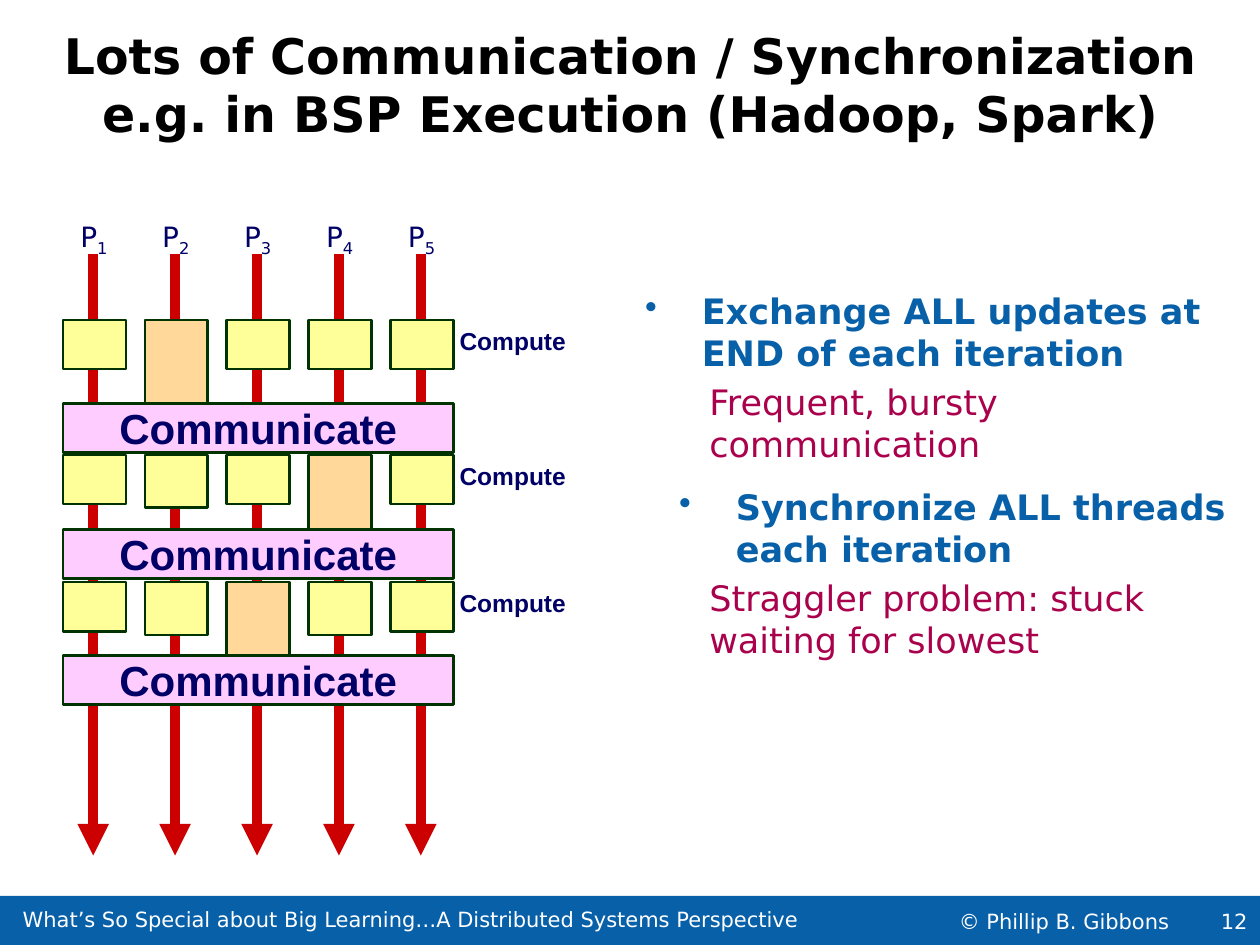
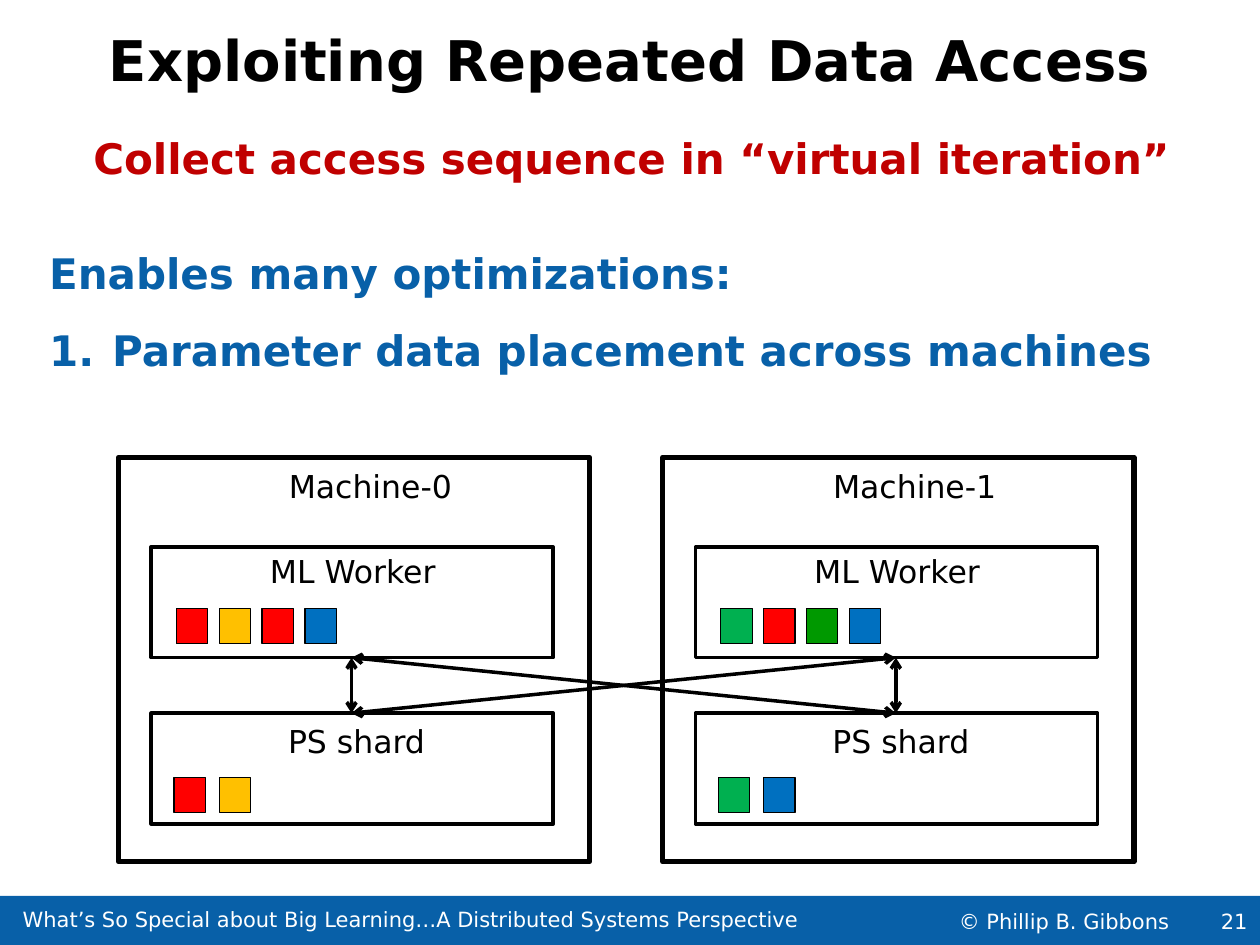
from dataclasses import dataclass

from lxml import etree
from pptx import Presentation
from pptx.dml.color import RGBColor
from pptx.enum.shapes import MSO_CONNECTOR, MSO_SHAPE
from pptx.enum.text import MSO_ANCHOR, PP_ALIGN
from pptx.oxml.ns import qn
from pptx.util import Inches, Pt

RECT = MSO_SHAPE.RECTANGLE
LINE = MSO_CONNECTOR.STRAIGHT
MID = MSO_ANCHOR.MIDDLE
TOP = MSO_ANCHOR.TOP
LEFT, CENTER, RIGHT = PP_ALIGN.LEFT, PP_ALIGN.CENTER, PP_ALIGN.RIGHT


@dataclass(frozen=True)
class Theme:
    sans: str = "DejaVu Sans"
    arial: str = "Arial"
    black: str = "000000"
    white: str = "FFFFFF"
    blue: str = "0860A8"
    plum: str = "AA014C"
    crimson: str = "C00000"
    navy: str = "000066"
    arrow: str = "CC0000"
    edge: str = "003300"
    task: str = "FFFF99"
    slow: str = "FFD89A"
    sync: str = "FFCCFF"
    foot: int = 12
    small: int = 14
    label: int = 16
    box: int = 18
    body: int = 20
    lead: int = 24
    title: int = 28
    big: int = 32


T = Theme()
RED, GOLD, SKY = "FF0000", "FFC000", "0070C0"
GREEN, LEAF = "00B050", "009900"


def font(size, color=T.black, bold=False, name=T.sans):
    return {"size": Pt(size), "bold": bold, "name": name, "color": color}


def style(run, form):
    for key, value in form.items():
        if key == "color":
            run.font.color.rgb = RGBColor.from_string(value)
        else:
            setattr(run.font, key, value)


def fill_text(frame, text, form, align=LEFT, anchor=TOP, inset=0, wrap=True):
    """Set the frame's layout and its first paragraph, and return that paragraph."""
    values = {"word_wrap": wrap, "vertical_anchor": anchor}
    for side in ("left", "right", "top", "bottom"):
        values["margin_" + side] = Inches(inset)
    for key, value in values.items():
        setattr(frame, key, value)
    para = frame.paragraphs[0]
    put_para(para, text, form, align)
    return para


def put_para(para, text, form, align=LEFT):
    para.text = text
    para.alignment = align
    for run in para.runs:
        style(run, form)


def add_text(slide, box, text, form, **layout):
    shape = slide.shapes.add_textbox(*map(Inches, box))
    return fill_text(shape.text_frame, text, form, **layout)


def add_list(slide, box, items):
    """Items are (text, font, margin, indent, space before, bullet)."""
    frame = slide.shapes.add_textbox(*map(Inches, box)).text_frame
    for i, (text, form, margin, indent, space, bullet) in enumerate(items):
        if i:
            para = frame.add_paragraph()
            put_para(para, text, form)
        else:
            para = fill_text(frame, text, form)
        para.space_before = Pt(space)
        props = para._p.get_or_add_pPr()
        props.set("marL", str(Inches(margin)))
        props.set("indent", str(Inches(indent)))
        if bullet:
            tag, key, value = bullet
            etree.SubElement(props, qn(tag)).set(key, value)


def add_rect(slide, box, fill=None, edge=None, width=1.5):
    shape = slide.shapes.add_shape(RECT, *map(Inches, box))
    shape.shadow.inherit = False
    if fill:
        shape.fill.solid()
        shape.fill.fore_color.rgb = RGBColor.from_string(fill)
    else:
        shape.fill.background()
    if edge:
        shape.line.color.rgb = RGBColor.from_string(edge)
        shape.line.width = Pt(width)
    else:
        shape.line.fill.background()
    return shape


def add_arrow(slide, start, end, color, width, **ends):
    """Ends are the line-end tags, headEnd and tailEnd, with their types."""
    line = slide.shapes.add_connector(LINE, *map(Inches, start + end))
    line.line.color.rgb = RGBColor.from_string(color)
    line.line.width = Pt(width)
    props = line.element.spPr
    for tag, kind in ends.items():
        etree.SubElement(props.find(qn("a:ln")), qn("a:" + tag)).set("type", kind)
    etree.SubElement(props, qn("a:effectLst"))


def add_page(deck, number, title, size):
    """Add a blank slide with the shared footer band and title."""
    slide = deck.slides.add_slide(deck.slide_layouts[6])
    foot = font(T.foot, T.white)
    band = add_rect(slide, (0, 7.11, 10, 0.4), T.blue)
    fill_text(band.text_frame, str(number), foot, align=RIGHT, anchor=MID, inset=0.1)
    add_text(slide, (7.61, 7.17, 2, 0.28), "© Phillip B. Gibbons", foot, anchor=MID)
    add_text(slide, (0.18, 7.21, 6.45, 0.17),
             "What’s So Special about Big Learning…A Distributed Systems Perspective",
             foot, anchor=MID)
    add_text(slide, (0, 0.2, 10, 0.97), title, font(size, bold=True), align=CENTER)
    return slide


def add_threads(slide, count, left, step):
    for i in range(count):
        x = left + i * step
        add_arrow(slide, (x + 0.24, 2.02), (x + 0.24, 6.79), T.arrow, 6,
                  tailEnd="triangle")
        form = font(T.label, T.navy)
        para = add_text(slide, (x - 0.08, 1.69, 0.65, 0.37), "P", form,
                        align=CENTER, inset=0.05)
        sub = para.add_run()
        sub.text = str(i + 1)
        style(sub, form)
        sub.font._element.set("baseline", "-25000")


def add_round(slide, count, left, step, top, sync, slow, tall):
    """Draw one compute step, its straggler, and the barrier below it."""
    wide = 0.5
    for i in range(count):
        high = sync - top if i == slow else 0.42 if i in tall else 0.39
        add_rect(slide, (left + i * step, top, wide, high),
                 T.slow if i == slow else T.task, T.edge)
    bar = add_rect(slide, (left, sync, (count - 1) * step + wide, 0.39), T.sync, T.edge)
    fill_text(bar.text_frame, "Communicate", font(T.lead, T.navy, True, T.arial),
              align=CENTER, anchor=MID, wrap=False)
    add_text(slide, (3.59, top, 0.96, 0.34), "Compute",
             font(T.small, T.navy, True, T.arial), align=CENTER, inset=0.05, wrap=False)


def add_chips(slide, left, top, step, colors):
    for i, color in enumerate(colors):
        add_rect(slide, (left + i * step, top, 0.25, 0.28), color, T.black, 0.75)


def add_machine(slide, left, name, worker, shard):
    add_rect(slide, (left, 3.63, 3.74, 3.21), edge=T.black, width=3)
    for top in (4.34, 5.66):
        add_rect(slide, (left + 0.26, top, 3.19, 0.88), edge=T.black, width=2)
    for text, mid, top in ((name, 2, 3.66), ("ML Worker", 1.86, 4.33),
                           ("PS shard", 1.89, 5.68)):
        add_text(slide, (left + mid - 1.1, top + 0.05, 2.2, 0.4), text,
                 font(T.box), align=CENTER)
    add_chips(slide, left + 0.46, 4.83, 0.34, worker)
    add_chips(slide, left + 0.44, 6.17, 0.36, shard)


def build_sync(deck):
    slide = add_page(deck, 12, "Lots of Communication / Synchronization\v"
                     "e.g. in BSP Execution (Hadoop, Spark)", T.title)
    point, note = font(T.body, T.blue, True), font(T.body, T.plum)
    dot = ("a:buChar", "char", "•")
    add_list(slide, (5, 2.3, 4.9, 2.95), [
        ("Exchange ALL updates at\vEND of each iteration", point, 0.57, -0.45, 0, dot),
        ("Frequent, bursty\vcommunication", note, 0.63, 0, 4, None),
        ("Synchronize ALL threads\veach iteration", point, 0.84, -0.45, 12, dot),
        ("Straggler problem: stuck\vwaiting for slowest", note, 0.63, 0, 4, None),
    ])
    grid = (5, 0.5, 0.65)
    add_threads(slide, *grid)
    for top, sync, slow, tall in ((2.54, 3.2, 1, ()), (3.61, 4.2, 3, (1,)),
                                  (4.62, 5.2, 2, (1, 3))):
        add_round(slide, *grid, top, sync, slow, tall)


def build_access(deck):
    slide = add_page(deck, 21, "Exploiting Repeated Data Access", T.big)
    point = font(T.lead, T.blue, True)
    add_list(slide, (0.39, 1.05, 9.61, 2.1), [
        ("Collect access sequence in “virtual iteration”",
         font(T.lead, T.crimson, True), 0.35, 0, 0, None),
        ("Enables many optimizations:", point, 0, 0, 37, None),
        ("Parameter data placement across machines", point, 0.5, -0.5, 15,
         ("a:buAutoNum", "type", "arabicPeriod")),
    ])
    lefts = (0.94, 5.26)
    loads = (((RED, GOLD, RED, SKY), (RED, GOLD)),
             ((GREEN, RED, LEAF, SKY), (GREEN, SKY)))
    for i, (left, load) in enumerate(zip(lefts, loads)):
        add_machine(slide, left, f"Machine-{i}", *load)
    for start in lefts:
        for end in lefts:
            add_arrow(slide, (start + 1.85, 5.22), (end + 1.85, 5.66), T.black, 2,
                      headEnd="arrow", tailEnd="arrow")


def main():
    deck = Presentation()
    deck.slide_width, deck.slide_height = Inches(10), Inches(7.5)
    build_sync(deck)
    build_access(deck)
    deck.save("out.pptx")


if __name__ == "__main__":
    main()
